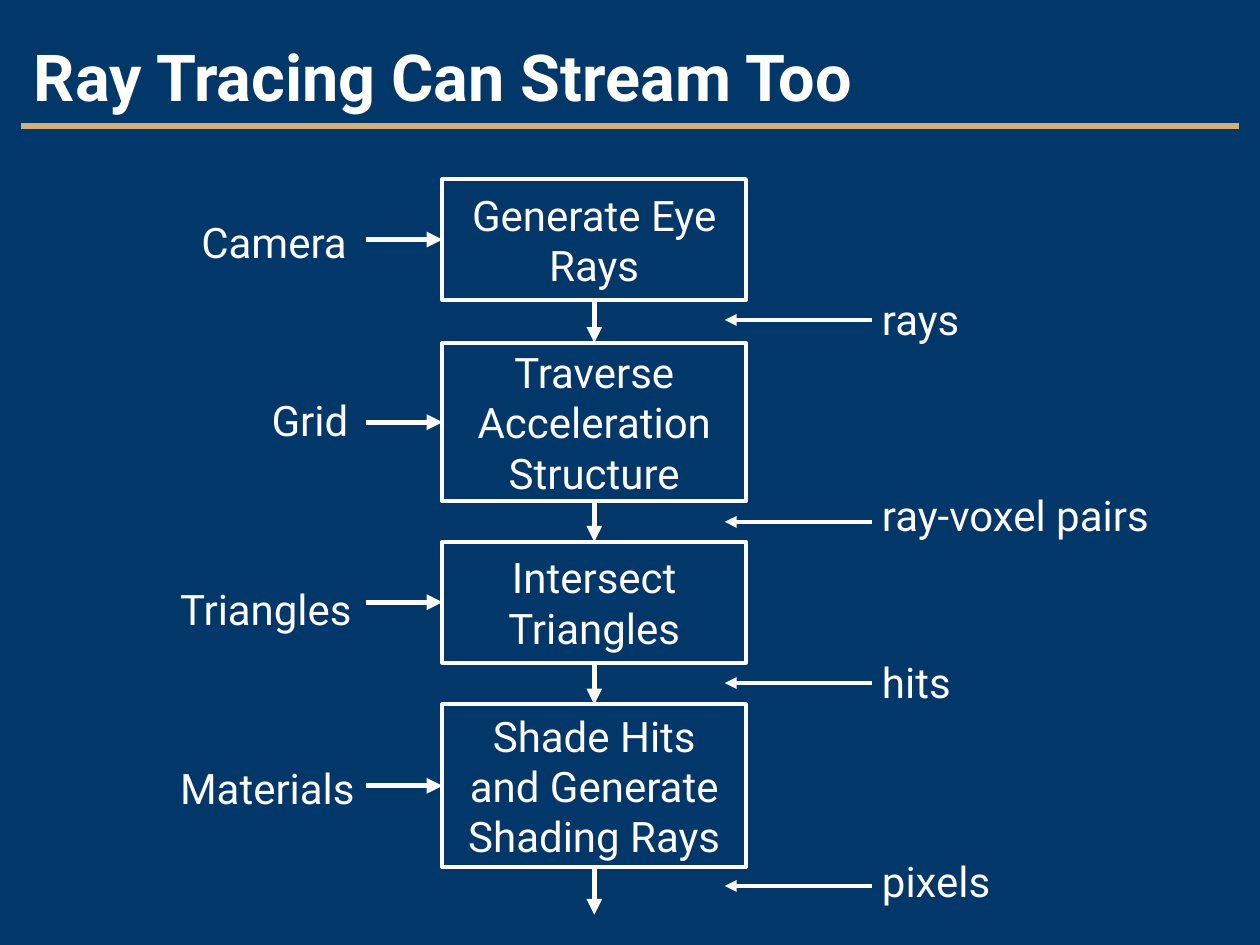
import pptx
import pptx.dml.color
import pptx.enum.shapes
import pptx.enum.text
import pptx.oxml
import pptx.util
from pptx.util import Cm

ALIGN = pptx.enum.text.PP_ALIGN
ANCHOR = pptx.enum.text.MSO_ANCHOR
TOP, LEFT, BOTTOM = 0, 1, 2


def color(hex_string):
    return pptx.dml.color.RGBColor.from_string(hex_string)


class SlideBuilder:
    font = "Roboto"
    background = "013769"
    ink = "FFFBFC"
    title_ink = "FFFFFF"
    accent = "D2AF7D"

    def __init__(self, slide):
        self.slide = slide
        slide.background.fill.solid()
        slide.background.fill.fore_color.rgb = color(self.background)

    def set_text(self, frame, text, size=24, ink=None, bold=False,
                 align=ALIGN.LEFT, anchor=ANCHOR.TOP, spacing=None):
        frame.text = text
        frame.vertical_anchor = anchor
        paragraph = frame.paragraphs[0]
        paragraph.alignment = align
        paragraph.line_spacing = spacing
        paragraph.font.name = self.font
        paragraph.font.size = pptx.util.Pt(size)
        paragraph.font.bold = bold
        paragraph.font.color.rgb = color(ink or self.ink)

    def title(self, text, left, top, width, height):
        shape = self.slide.shapes.title
        shape.left, shape.top = Cm(left), Cm(top)
        shape.width, shape.height = Cm(width), Cm(height)
        shape.text_frame.auto_size = pptx.enum.text.MSO_AUTO_SIZE.NONE
        self.set_text(shape.text_frame, text, 37, self.title_ink, True,
                      anchor=ANCHOR.MIDDLE, spacing=1.05)

    def box(self, text, left, top, width, height):
        shape = self.slide.shapes.add_shape(
            pptx.enum.shapes.MSO_SHAPE.RECTANGLE,
            Cm(left), Cm(top), Cm(width), Cm(height))
        shape.shadow.inherit = False
        shape.fill.background()
        shape.line.color.rgb = color(self.ink)
        shape.line.width = pptx.util.Pt(2.25)
        self.set_text(shape.text_frame, text, align=ALIGN.CENTER,
                      anchor=ANCHOR.MIDDLE)
        return shape

    def label(self, text, left, top, width, height, wrap=True, **style):
        shape = self.slide.shapes.add_textbox(
            Cm(left), Cm(top), Cm(width), Cm(height))
        shape.text_frame.word_wrap = wrap
        self.set_text(shape.text_frame, text, **style)

    def line(self, start, end, ink=None, width=3):
        connector = self.slide.shapes.add_connector(
            pptx.enum.shapes.MSO_CONNECTOR.STRAIGHT,
            Cm(start[0]), Cm(start[1]), Cm(end[0]), Cm(end[1]))
        connector.line.color.rgb = color(ink or self.ink)
        connector.line.width = pptx.util.Pt(width)
        properties = connector._element.spPr
        properties.append(pptx.oxml.parse_xml(
            '<a:effectLst xmlns:a='
            '"http://schemas.openxmlformats.org/drawingml/2006/main"/>'))
        return connector

    def arrow(self, start, end, width=3):
        connector = self.line(start, end, width=width)
        connector.line._get_or_add_ln().append(pptx.oxml.parse_xml(
            '<a:tailEnd type="triangle" xmlns:a='
            '"http://schemas.openxmlformats.org/drawingml/2006/main"/>'))
        return connector


def main():
    presentation = pptx.Presentation()
    presentation.slide_width = Cm(25.4)
    presentation.slide_height = Cm(19.05)
    builder = SlideBuilder(
        presentation.slides.add_slide(presentation.slide_layouts[5]))

    # Title and rule
    builder.line((0.43, 2.54), (24.97, 2.54), ink=builder.accent)
    builder.title("Ray Tracing Can Stream Too", 0.43, 0.43, 24.56, 2.11)

    # Pipeline stages: text, top, height
    box_left, box_width = 8.92, 6.12
    center = box_left + box_width / 2
    stages = [
        ("Generate Eye Rays", 3.61, 2.44),
        ("Traverse Acceleration Structure", 6.91, 3.2),
        ("Intersect Triangles", 10.92, 2.44),
        ("Shade Hits and Generate Shading Rays", 14.2, 3.28),
    ]
    boxes = [builder.box(text, box_left, top, box_width, height)
             for text, top, height in stages]

    # Flow from stage to stage, and out of the last one
    bottoms = [top + height for _, top, height in stages]
    next_tops = [top for _, top, _ in stages[1:]] + [18.44]
    for index, (bottom, next_top) in enumerate(zip(bottoms, next_tops)):
        flow = builder.arrow((center, bottom), (center, next_top))
        flow.begin_connect(boxes[index], BOTTOM)
        if index + 1 < len(boxes):
            flow.end_connect(boxes[index + 1], TOP)

    # Inputs: text, left, top, width, alignment
    inputs = [
        ("Camera", 3.81, 4.24, 3.61, ALIGN.LEFT),
        ("Grid", 5.08, 7.82, 2.34, ALIGN.CENTER),
        ("Triangles", 3.38, 11.63, 4.04, ALIGN.LEFT),
        ("Materials", 3.38, 15.24, 4.04, ALIGN.LEFT),
    ]
    for (text, left, top, width, align), box, (_, box_top, height) in zip(
            inputs, boxes, stages):
        builder.label(text, left, top, width, 1.27, align=align)
        middle = box_top + height / 2
        feed = builder.arrow((7.37, middle), (box_left, middle))
        feed.end_connect(box, LEFT)

    # Streams between stages: text, top, width, height, spacing, arrow height
    streams = [
        ("rays", 5.79, 2.16, 1.27, None, 6.45),
        ("ray-voxel pairs", 9.98, 6.3, 1.02, 0.75, 10.52),
        ("hits", 13.34, 1.96, 1.02, 0.75, 13.77),
        ("pixels", 17.35, 2.79, 1.02, 0.75, 17.86),
    ]
    for text, top, width, height, spacing, arrow_y in streams:
        builder.label(text, 17.53, top, width, height, wrap=False,
                      spacing=spacing)
        builder.arrow((17.58, arrow_y), (14.61, arrow_y), width=2.25)

    presentation.save("out.pptx")


if __name__ == "__main__":
    main()
